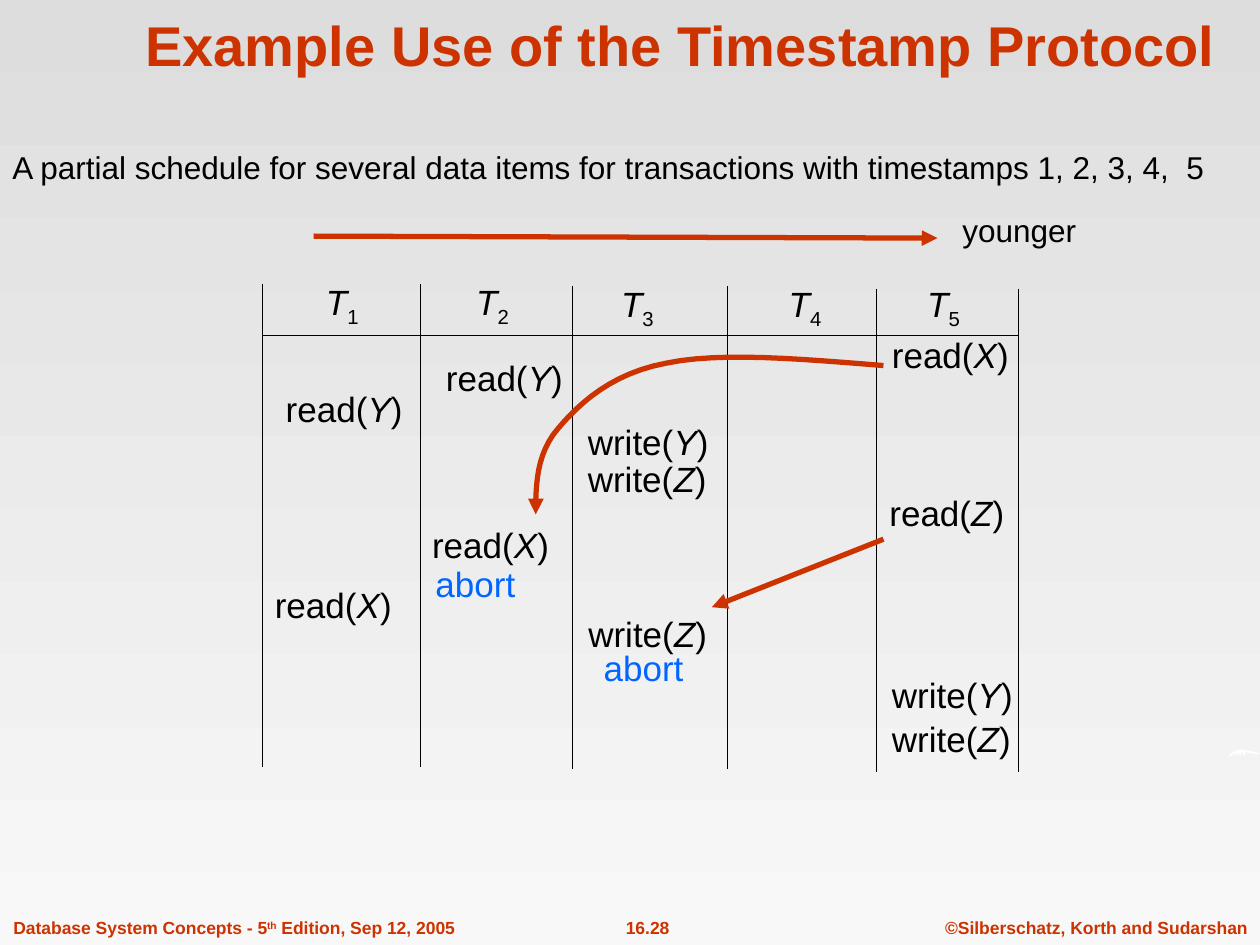
from itertools import pairwise

from lxml.etree import SubElement
from pptx import Presentation
from pptx.dml.color import RGBColor
from pptx.enum.shapes import MSO_CONNECTOR
from pptx.enum.text import MSO_ANCHOR, PP_ALIGN
from pptx.oxml.ns import qn
from pptx.util import Cm, Pt

BLACK = RGBColor(0x00, 0x00, 0x00)
WHITE = RGBColor(0xFF, 0xFF, 0xFF)
RUST = RGBColor(0xCC, 0x33, 0x00)
BLUE = RGBColor(0x00, 0x66, 0xFF)
GREY_TOP = RGBColor(0xDD, 0xDD, 0xDD)
GREY_BOTTOM = RGBColor(0xF8, 0xF8, 0xF8)


def write_run(paragraph, text, *, size=20, color=BLACK, bold=False, italic=False, baseline=0):
    run = paragraph.add_run()
    run.text = text
    run.font.name = "Arial"
    run.font.size = Pt(size)
    run.font.color.rgb = color
    run.font.bold = bold
    run.font.italic = italic
    if baseline:
        run._r.get_or_add_rPr().set("baseline", str(baseline * 1000))


def bezier(start, first, second, end, steps=12):
    for step in range(1, steps + 1):
        t = step / steps
        weights = ((1 - t) ** 3, 3 * t * (1 - t) ** 2, 3 * t**2 * (1 - t), t**3)
        yield tuple(
            sum(w * c for w, c in zip(weights, axis))
            for axis in zip(start, first, second, end)
        )


class ScheduleSlide:
    rule_width = 0.75
    arrow_width = 3

    def __init__(self, presentation):
        self.slide = presentation.slides.add_slide(presentation.slide_layouts[6])
        self.shapes = self.slide.shapes

    def background(self, top, bottom):
        fill = self.slide.background.fill
        fill.gradient()
        fill.gradient_angle = 270
        for stop, color in zip(fill.gradient_stops, (top, bottom)):
            stop.color.rgb = color

    def text(self, left, top, width, height, *runs, align=PP_ALIGN.LEFT,
             anchor=MSO_ANCHOR.TOP, wrap=True, indent=0, **style):
        frame = self.shapes.add_textbox(Cm(left), Cm(top), Cm(width), Cm(height)).text_frame
        frame.word_wrap = wrap
        frame.vertical_anchor = anchor
        paragraph = frame.paragraphs[0]
        paragraph.alignment = align
        if indent:
            properties = paragraph._p.get_or_add_pPr()
            properties.set("marL", str(Cm(indent)))
            properties.set("indent", str(-Cm(indent)))
        for words, extra in runs:
            write_run(paragraph, words, **style | extra)

    def stroke(self, line, color, width, arrow):
        line.color.rgb = color
        line.width = Pt(width)
        if arrow:
            SubElement(line._get_or_add_ln(), qn("a:tailEnd"), type="triangle")

    def line(self, start, end, color=BLACK, width=rule_width, arrow=False):
        connector = self.shapes.add_connector(
            MSO_CONNECTOR.STRAIGHT, *(Cm(value) for value in (*start, *end)))
        self.stroke(connector.line, color, width, arrow)
        SubElement(connector._element.spPr, qn("a:effectLst"))

    def arrow(self, start, end):
        self.line(start, end, RUST, self.arrow_width, True)

    def outline(self, points, closed):
        start, *rest = [(Cm(x), Cm(y)) for x, y in points]
        builder = self.shapes.build_freeform(*start)
        builder.add_line_segments(rest, close=closed)
        shape = builder.convert_to_shape()
        shape.shadow.inherit = False
        return shape

    def curved_arrow(self, *knots):
        points = [knots[0][-1]]
        for (*_, start), (first, second, end) in pairwise(knots):
            points.extend(bezier(start, first, second, end))
        shape = self.outline(points, closed=False)
        shape.fill.background()
        self.stroke(shape.line, RUST, self.arrow_width, True)

    def patch(self, points, color):
        shape = self.outline(points, closed=True)
        shape.fill.solid()
        shape.fill.fore_color.rgb = color
        shape.line.fill.background()


def main():
    presentation = Presentation()
    presentation.slide_width = Cm(25.4)
    presentation.slide_height = Cm(19.05)
    page = ScheduleSlide(presentation)
    page.background(GREY_TOP, GREY_BOTTOM)

    footers = [
        (18.7, 6.7, PP_ALIGN.RIGHT, [("©Silberschatz, Korth and Sudarshan", {})]),
        (11.71, 2.69, PP_ALIGN.CENTER, [("16.28", {})]),
        (0.02, 10, PP_ALIGN.LEFT, [
            ("Database System Concepts - 5", {}),
            ("th", {"baseline": 30}),
            (" Edition, Sep 12, 2005", {}),
        ]),
    ]
    for left, width, align, runs in footers:
        page.text(left, 18.37, width, 0.68, *runs, align=align, wrap=False,
                  size=10, color=RUST, bold=True)

    page.patch([
        (24.77, 15.27), (24.82, 15.19), (24.89, 15.14), (25.02, 15.11), (25.2, 15.14),
        (25.4, 15.19), (25.35, 15.21), (25.1, 15.16), (25.1, 15.24), (25.02, 15.16),
        (25.02, 15.24), (24.94, 15.16), (24.97, 15.24), (24.89, 15.19),
    ], WHITE)

    page.text(2.51, 0, 22.43, 1.7, ("Example Use of the Timestamp Protocol", {}),
              align=PP_ALIGN.CENTER, anchor=MSO_ANCHOR.BOTTOM,
              size=32, color=RUST, bold=True)
    page.text(0, 2.85, 24.97, 13.82, (
        "A partial schedule for several data items for transactions "
        "with timestamps 1, 2, 3, 4,  5", {}), indent=0.97, size=18)

    column_edges = [5.29, 8.47, 11.54, 14.66, 17.67, 20.53]
    for index, x in enumerate(column_edges):
        top = 5.72 + 0.05 * (index // 2)
        page.line((x, top), (x, top + 9.74))
    page.line((column_edges[0], 6.77), (column_edges[-1], 6.77))

    transaction_lefts = [6.32, 9.35, 12.27, 15.65, 18.44]
    for number, left in enumerate(transaction_lefts, start=1):
        page.text(left, 5.54 if number < 3 else 5.57, 1.25, 1.22,
                  ("T", {"italic": True}), (str(number), {"baseline": -25}))

    operations = [
        (8.74, 7.07, "read", "Y"),
        (17.73, 6.6, "read", "X"),
        (5.51, 7.68, "read", "Y"),
        (11.6, 8.36, "write", "Y"),
        (11.6, 9.09, "write", "Z"),
        (17.68, 9.78, "read", "Z"),
        (8.46, 10.42, "read", "X"),
        (5.29, 11.63, "read", "X"),
        (11.61, 12.22, "write", "Z"),
        (17.73, 13.45, "write", "Y"),
        (17.73, 14.34, "write", "Z"),
    ]
    for left, top, operation, item in operations:
        page.text(left, top, 3.1, 1.12, (f"{operation}(", {}),
                  (item, {"italic": True}), (")", {}))
    for left, top in [(8.53, 11.21), (11.92, 12.9)]:
        page.text(left, top, 2.51, 1.12, ("abort", {}), color=BLUE)

    page.curved_arrow(
        ((17.81, 7.37),),
        ((16.18, 7.24), (14.53, 7.09), (13.44, 7.32)),
        ((12.34, 7.52), (11.68, 8.13), (11.25, 8.64)),
        ((10.82, 9.14), (10.8, 9.75), (10.8, 10.37)),
    )
    page.arrow((17.81, 10.87), (14.35, 12.24))
    page.arrow((6.32, 4.76), (18.9, 4.8))
    page.text(19.15, 4.13, 3.84, 1.02, ("younger", {}), size=18)

    presentation.save("out.pptx")


if __name__ == "__main__":
    main()
